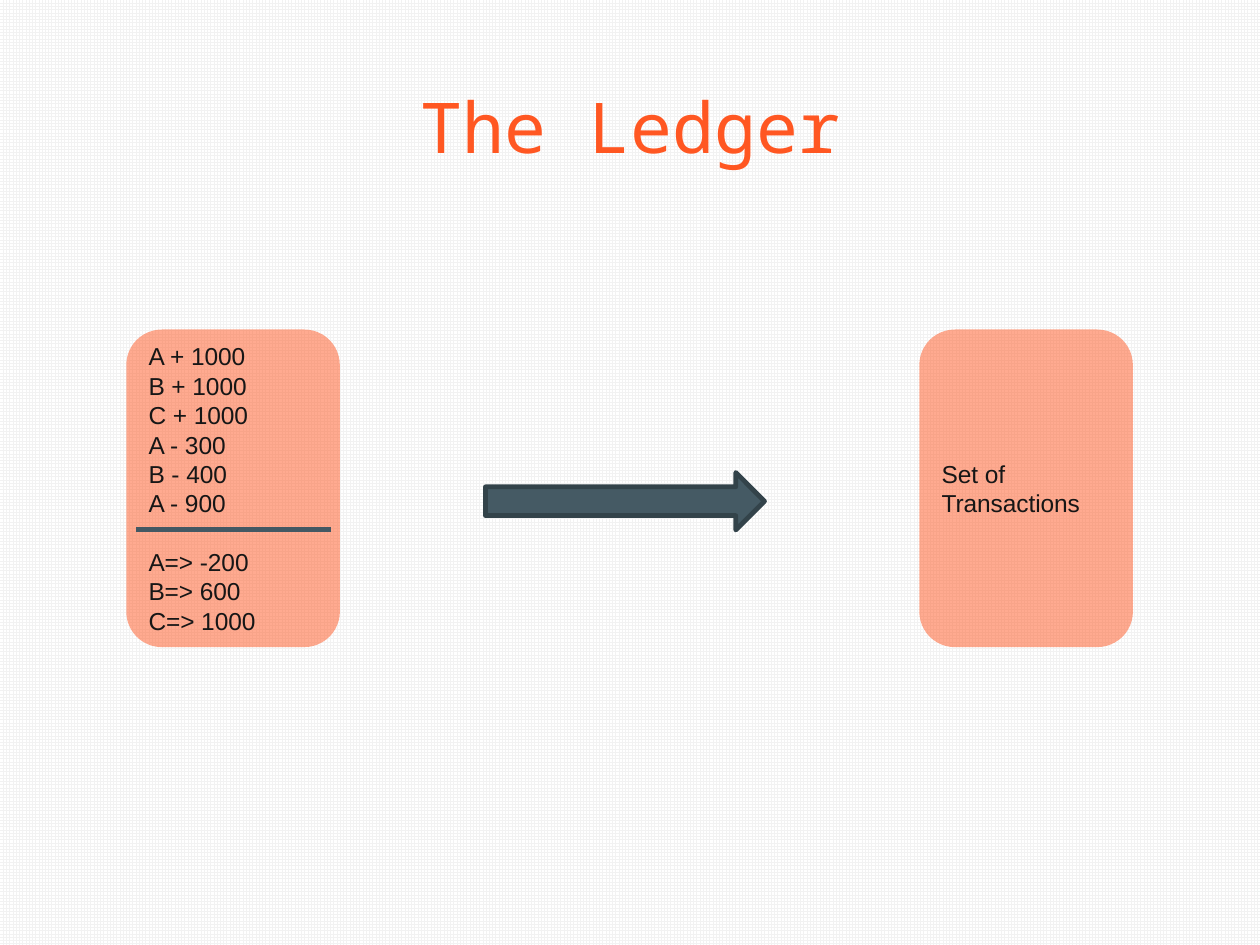
import pptx
import pptx.util
import pptx.dml.color
import pptx.enum.dml
import pptx.enum.shapes
import pptx.enum.text
import pptx.oxml
import pptx.oxml.ns
import lxml.etree

Cm = pptx.util.Cm
Pt = pptx.util.Pt
KIND = pptx.enum.shapes.MSO_SHAPE
ALIGN = pptx.enum.text.PP_ALIGN
ANCHOR = pptx.enum.text.MSO_ANCHOR

HUES = {"grid": "F2F2F2", "base": "FFFFFF", "card": "FF5722", "ink": "161616",
        "rule": "435863", "arrow": "455A64", "edge": "33434A"}
COLS = {name: pptx.dml.color.RGBColor.from_string(hue) for name, hue in HUES.items()}


def write(frame, text, size=10.5, font="Arial", color="ink", align=ALIGN.LEFT,
          anchor=ANCHOR.MIDDLE, pad=(0.18, 0.1), gap=None):
    """Fill a text frame, one paragraph a line; gap is the line with space above."""
    frame.word_wrap = True
    frame.vertical_anchor = anchor
    frame.margin_left = frame.margin_right = Cm(pad[0])
    frame.margin_top = frame.margin_bottom = Cm(pad[1])
    for i, line in enumerate(text.split("\n")):
        para = frame.paragraphs[0] if i == 0 else frame.add_paragraph()
        para.alignment = align
        if i == gap:
            para.space_before = Pt(12.5)
        run = para.add_run()
        run.text = line
        run.font.size = Pt(size)
        run.font.name = font
        run.font.color.rgb = COLS[color]


deck = pptx.Presentation()
deck.slide_width, deck.slide_height = Cm(19.05), Cm(14.28)
slide = deck.slides.add_slide(deck.slide_layouts[6])
shapes = slide.shapes

# Background grid
fill = slide.background.fill
fill.patterned()
fill.pattern = pptx.enum.dml.MSO_PATTERN.SMALL_GRID
fill.fore_color.rgb = COLS["grid"]
fill.back_color.rgb = COLS["base"]

# Title
title = shapes.add_textbox(Cm(0.66), Cm(1.02), Cm(17.75), Cm(1.19))
write(title.text_frame, "The Ledger", size=30, font="Noto Sans Mono", color="card",
      align=ALIGN.CENTER, anchor=ANCHOR.TOP, pad=(0.25, 0.25))

# Cards: ledger and set of transactions
ledger = ("A + 1000\nB + 1000\nC + 1000\nA - 300\nB - 400\nA - 900\n"
          "A=> -200\nB=> 600\nC=> 1000")
for left, text, gap in ((1.91, ledger, 6), (13.9, "Set of Transactions", None)):
    card = shapes.add_shape(KIND.ROUNDED_RECTANGLE, Cm(left), Cm(4.98), Cm(3.23), Cm(4.8))
    card.shadow.inherit = False
    card.fill.solid()
    card.fill.fore_color.rgb = COLS["card"]
    tint = card.fill._xPr.find(".//" + pptx.oxml.ns.qn("a:srgbClr"))
    lxml.etree.SubElement(tint, pptx.oxml.ns.qn("a:alpha")).set("val", "50000")
    card.line.fill.background()
    write(card.text_frame, text, gap=gap)

# Rule above the balances
rule = shapes.add_connector(pptx.enum.shapes.MSO_CONNECTOR.STRAIGHT,
                            Cm(2.06), Cm(8), Cm(5), Cm(8))
rule.line.color.rgb = COLS["rule"]
rule.line.width = Pt(2.25)
lxml.etree.SubElement(rule._element.spPr, pptx.oxml.ns.qn("a:effectLst"))

# Arrow between the cards
arrow = shapes.add_shape(KIND.RIGHT_ARROW, Cm(7.34), Cm(7.14), Cm(4.22), Cm(0.87))
arrow.shadow.inherit = False
arrow.fill.solid()
arrow.fill.fore_color.rgb = COLS["arrow"]
arrow.line.color.rgb = COLS["edge"]
arrow.line.width = Pt(2)

deck.save("out.pptx")
